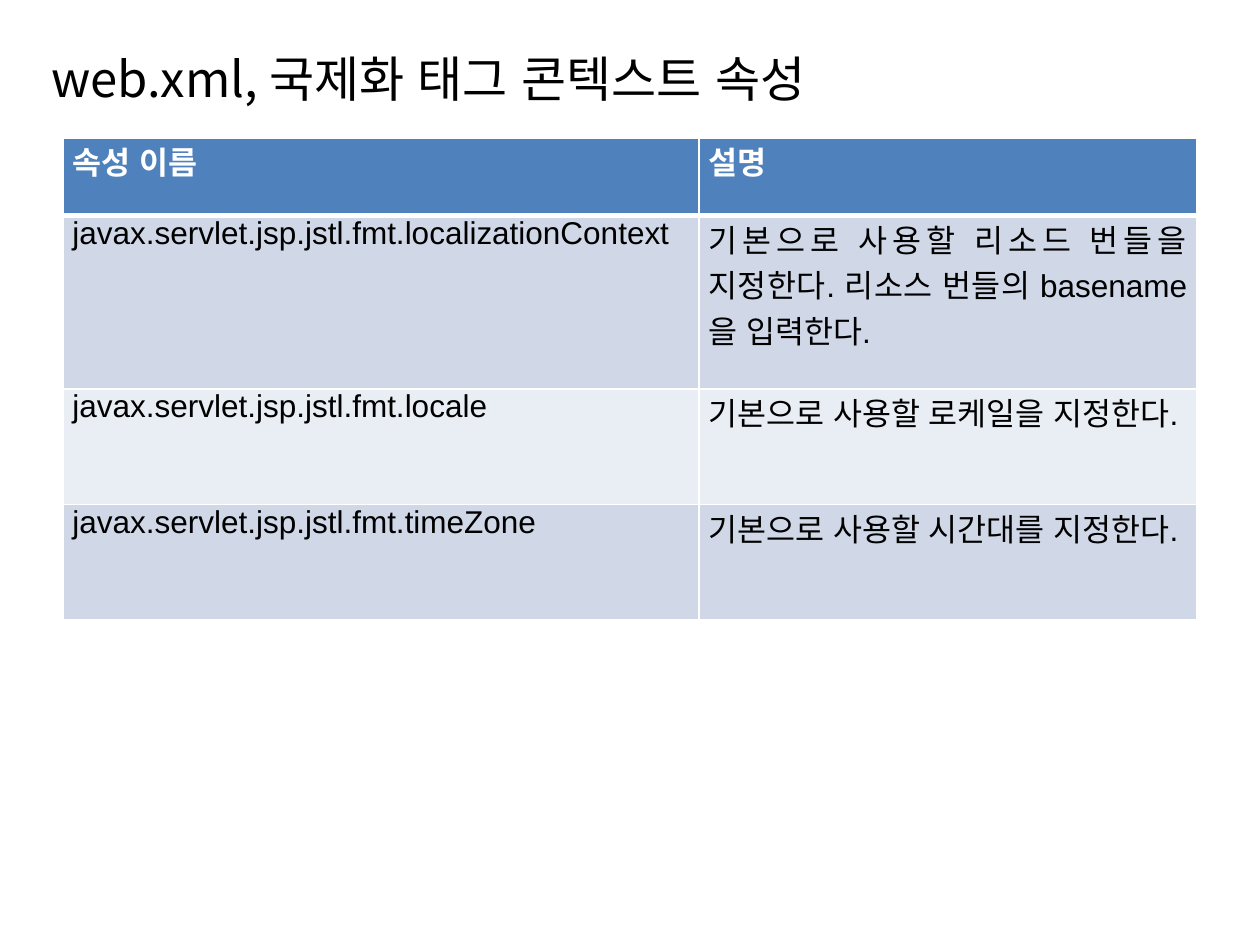
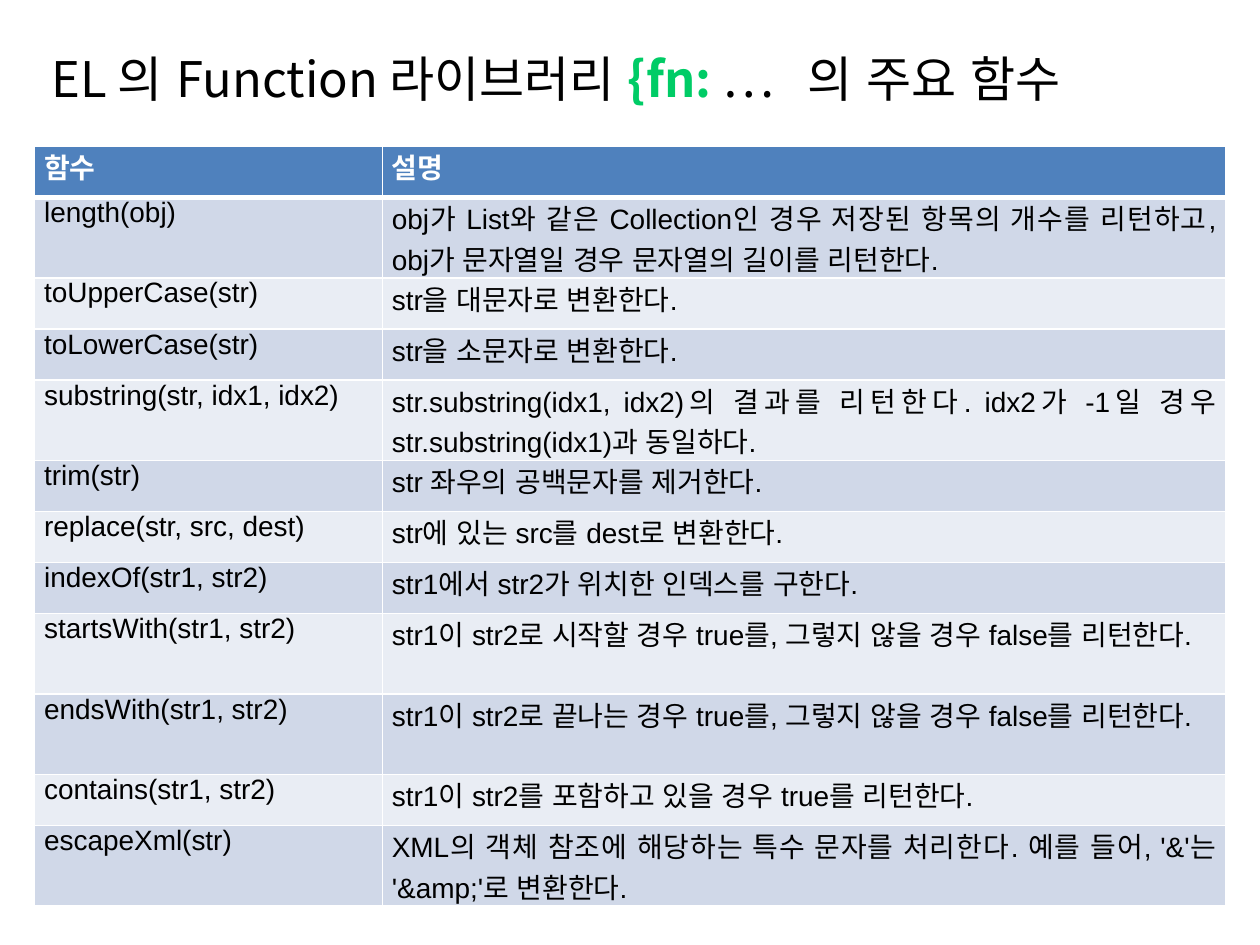
from lxml.etree import SubElement
from pptx import Presentation
from pptx.dml.color import RGBColor
from pptx.enum.lang import MSO_LANGUAGE_ID as Language
from pptx.enum.text import MSO_ANCHOR as Anchor, PP_ALIGN as Align
from pptx.oxml.ns import qn
from pptx.util import Cm, Pt

LATIN, KOREAN = "Arial", "Noto Sans CJK KR"
BLACK, WHITE, GREEN = "000000", "FFFFFF", "00CC66"
HEADER, BANDS = "4F81BD", ("D0D8E8", "E9EDF4")
THIN, THICK = 1, 3
ONE_LINE, TWO_LINES = 1.03, 1.62

CONTEXT_ROWS = [
    ("속성 이름", "설명"),
    ("javax.servlet.jsp.jstl.fmt.localizationContext",
     "기본으로 사용할 리소드 번들을 지정한다. 리소스 번들의 basename을 입력한다."),
    ("javax.servlet.jsp.jstl.fmt.locale", "기본으로 사용할 로케일을 지정한다."),
    ("javax.servlet.jsp.jstl.fmt.timeZone", "기본으로 사용할 시간대를 지정한다."),
]
FUNCTION_ROWS = [
    ("함수", "설명"),
    ("length(obj)",
     "obj가 List와 같은 Collection인 경우 저장된 항목의 개수를 리턴하고, "
     "obj가 문자열일 경우 문자열의 길이를 리턴한다."),
    ("toUpperCase(str)", "str을 대문자로 변환한다."),
    ("toLowerCase(str)", "str을 소문자로 변환한다."),
    ("substring(str, idx1, idx2)",
     "str.substring(idx1, idx2)의 결과를 리턴한다. "
     "idx2가 -1일 경우 str.substring(idx1)과 동일하다."),
    ("trim(str)", "str 좌우의 공백문자를 제거한다."),
    ("replace(str, src, dest)", "str에 있는 src를 dest로 변환한다."),
    ("indexOf(str1, str2)", "str1에서 str2가 위치한 인덱스를 구한다."),
    ("startsWith(str1, str2)",
     "str1이 str2로 시작할 경우 true를, 그렇지 않을 경우 false를 리턴한다."),
    ("endsWith(str1, str2)",
     "str1이 str2로 끝나는 경우 true를, 그렇지 않을 경우 false를 리턴한다."),
    ("contains(str1, str2)", "str1이 str2를 포함하고 있을 경우 true를 리턴한다."),
    ("escapeXml(str)",
     "XML의 객체 참조에 해당하는 특수 문자를 처리한다. "
     "예를 들어, '&'는 '&amp;'로 변환한다."),
]
LONG_ROWS = (1, 4, 8, 9, 11)


def rgb(value):
    """Turn a hex string into a colour."""
    return RGBColor.from_string(value)


def add_span(para, text, size=28, font=KOREAN, color=BLACK, bold=False, spacing=0):
    """Add formatted Korean text; spacing is extra points per letter."""
    span = para.add_run()
    span.text = text
    span.font.size = Pt(size)
    span.font.name = font
    span.font.bold = bold
    span.font.language_id = Language.KOREAN
    span.font.color.rgb = rgb(color)
    props = span.font._element
    SubElement(props, qn("a:ea"), typeface=KOREAN)
    if spacing:
        props.set("spc", str(round(spacing * 100)))


def add_title(page, width, *parts):
    """Add the slide title from (text, format) parts."""
    box = page.shapes.add_textbox(Cm(0.79), Cm(0.76), Cm(width), Cm(1.63))
    frame = box.text_frame
    frame.word_wrap = True
    frame.vertical_anchor = Anchor.MIDDLE
    for text, style in parts:
        add_span(frame.paragraphs[0], text, **style)


def add_borders(cell, top, bottom):
    """Draw white cell borders, with the given top and bottom widths."""
    props = cell._tc.get_or_add_tcPr()
    for side, width in (("L", THIN), ("R", THIN), ("T", top), ("B", bottom)):
        line = SubElement(props, qn(f"a:ln{side}"), w=str(Pt(width)))
        fill = SubElement(line, qn("a:solidFill"))
        SubElement(fill, qn("a:srgbClr"), val=WHITE)


def fill_cell(cell, text, row, size):
    """Format one cell as header (row 0) or as part of a colour band."""
    is_header = row == 0
    cell.margin_left = cell.margin_right = Cm(0.19)
    cell.margin_top = cell.margin_bottom = 0
    add_borders(cell, THICK if row == 1 else THIN, THICK if is_header else THIN)
    cell.fill.solid()
    cell.fill.fore_color.rgb = rgb(HEADER if is_header else BANDS[(row - 1) % 2])
    para = cell.text_frame.paragraphs[0]
    para.alignment = Align.JUSTIFY
    add_span(para, text, size=size, font=LATIN,
             color=WHITE if is_header else BLACK, bold=is_header)


def add_grid(page, left, top, widths, heights, rows, size):
    """Add a banded table with its corner at left, top."""
    table = page.shapes.add_table(
        len(rows), len(widths), Cm(left), Cm(top),
        Cm(sum(widths)), Cm(sum(heights))).table
    for column, width in zip(table.columns, widths):
        column.width = Cm(width)
    for row, (height, texts) in enumerate(zip(heights, rows)):
        table.rows[row].height = Cm(height)
        for column, text in enumerate(texts):
            fill_cell(table.cell(row, column), text, row, size)


def build_context_page(page):
    """Build the slide on the context attributes in web.xml."""
    add_title(page, 24, ("web.xml, 국제화 태그 콘텍스트 속성", {}))
    add_grid(page, 1.27, 2.78, (12.82, 10.03), (1.57, 3.49, 2.33, 2.33),
             CONTEXT_ROWS, 18)


def build_function_page(page):
    """Build the slide on the functions of the EL library."""
    add_title(page, 23.5,
              ("EL 의 Function 라이브러리 ", {}),
              ("{fn: ", {"color": GREEN, "bold": True}),
              ("…", {}),
              (" ", {"spacing": 12.6}),
              ("의 주요 함수", {}))
    heights = [TWO_LINES if row in LONG_ROWS else ONE_LINE
               for row in range(len(FUNCTION_ROWS))]
    add_grid(page, 0.7, 2.95, (7.01, 17), heights, FUNCTION_ROWS, 16)


deck = Presentation()
deck.slide_width, deck.slide_height = Cm(25.4), Cm(19.05)
for build in (build_context_page, build_function_page):
    build(deck.slides.add_slide(deck.slide_layouts[6]))
deck.save("out.pptx")
